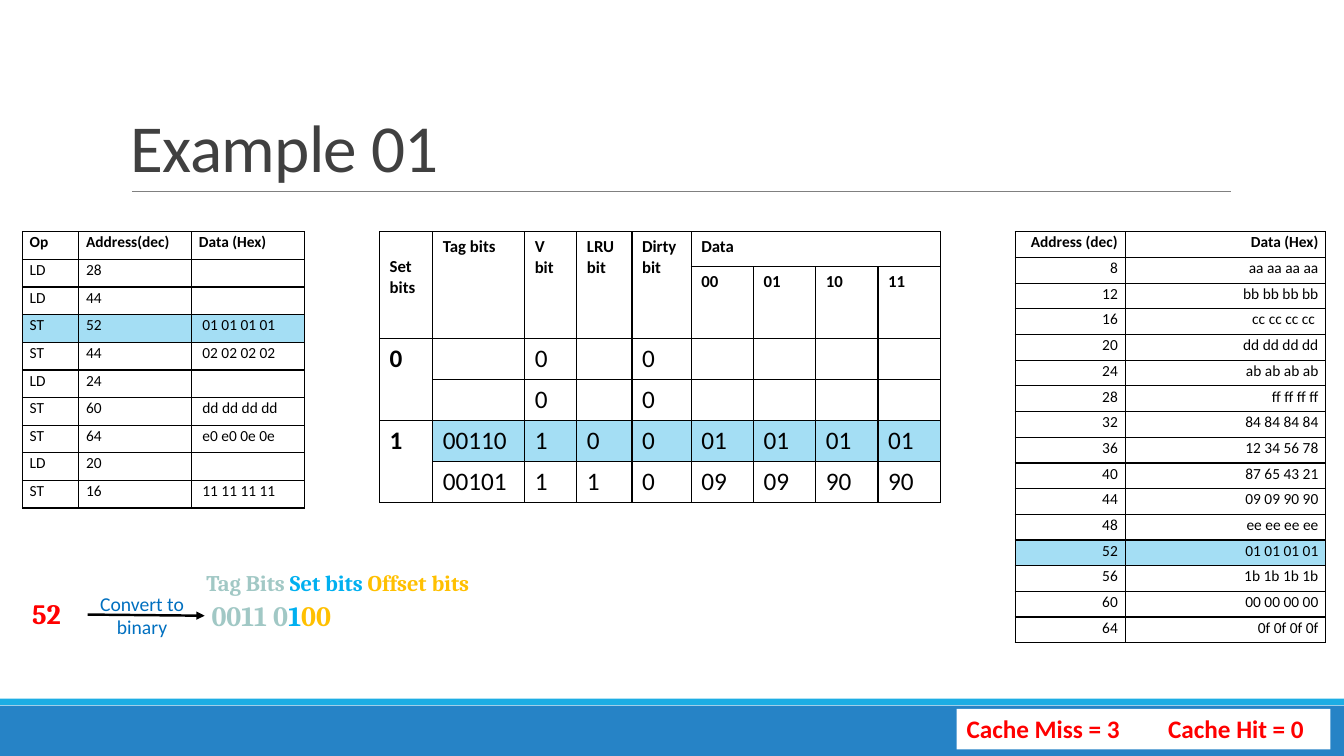
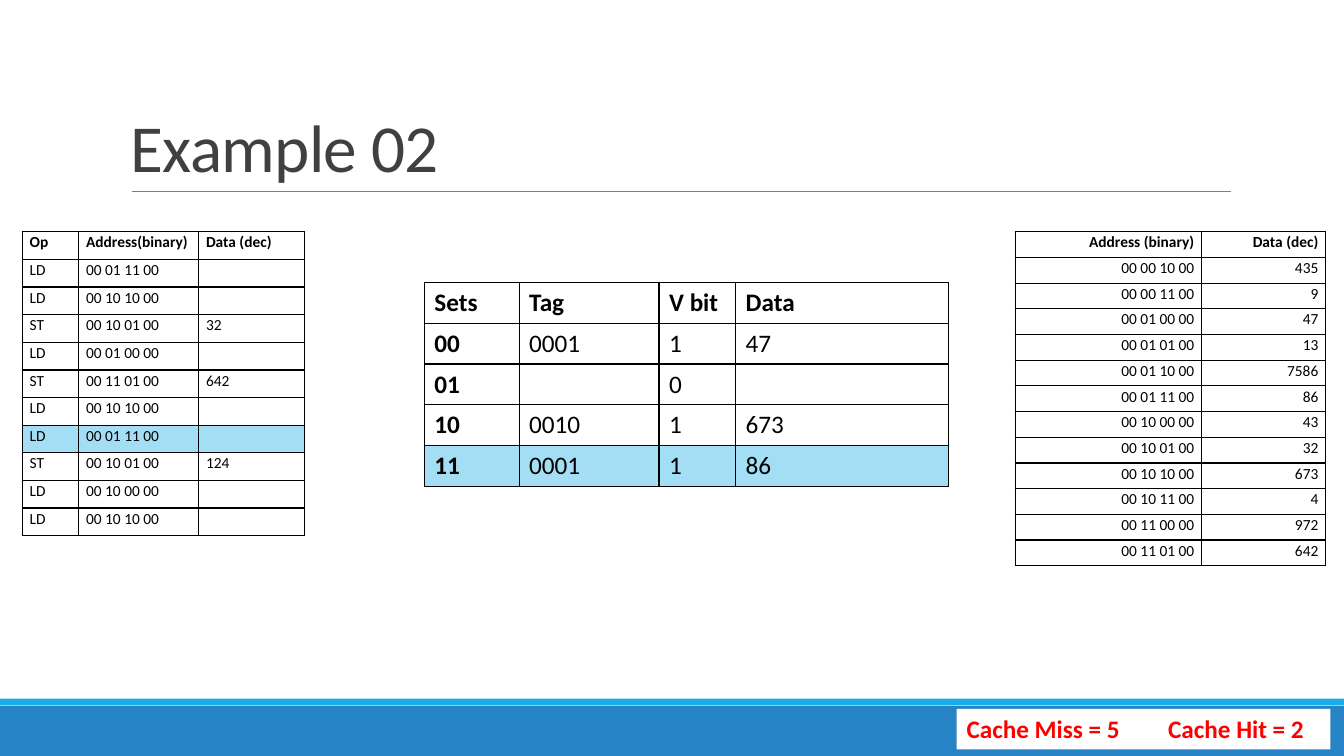
from pptx import Presentation
from pptx.dml.color import RGBColor as Rgb
from pptx.enum.shapes import MSO_CONNECTOR as Link, MSO_SHAPE as Shape
from pptx.enum.text import MSO_ANCHOR as Anchor, PP_ALIGN as Align
from pptx.oxml import parse_xml
from pptx.oxml.ns import nsdecls
from pptx.util import Pt

INK = {
    "band": "2683C6", "strip": "1CADE4", "rule": "808080", "title": "404040",
    "black": "000000", "white": "FFFFFF", "red": "FF0000", "blue": "0070C0",
    "tag": "A1C8C5", "set": "00B0F0", "offset": "FFC000", "lit": "A4DEF4",
}
BODY, SERIF = "Calibri", "Cambria"
TOP = 165.6

OPS_DEC = [
    ["Op", "Address(dec)", "Data (Hex)"],
    ["LD", "28", ""], ["LD", "44", ""], ["ST", "52", "01 01 01 01"],
    ["ST", "44", "02 02 02 02"], ["LD", "24", ""], ["ST", "60", "dd dd dd dd"],
    ["ST", "64", "e0 e0 0e 0e"], ["LD", "20", ""], ["ST", "16", "11 11 11 11"],
]
WORDS = [
    "aa aa aa aa", "bb bb bb bb", "cc cc cc cc ", "dd dd dd dd", "ab ab ab ab",
    "ff ff ff ff", "84 84 84 84", "12 34 56 78", "87 65 43 21", "09 09 90 90",
    "ee ee ee ee", "01 01 01 01", "1b 1b 1b 1b", "00 00 00 00", "0f 0f 0f 0f",
]
RAM_DEC = [["Address (dec)", "Data (Hex)"]] + [
    [str(8 + 4 * i), word] for i, word in enumerate(WORDS)]
WAYS = [
    ["Set bits", "Tag bits", "V bit", "LRU bit", "Dirty bit", "Data", "", "", ""],
    ["", "", "", "", "", "00", "01", "10", "11"],
    ["0", "", "0", "", "0", "", "", "", ""],
    ["", "", "0", "", "0", "", "", "", ""],
    ["1", "00110", "1", "0", "0", "01", "01", "01", "01"],
    ["", "00101", "1", "1", "0", "09", "09", "90", "90"],
]
OPS_BIN = [
    ["Op", "Address(binary)", "Data (dec)"],
    ["LD", "00 01 11 00", ""], ["LD", "00 10 10 00", ""],
    ["ST", "00 10 01 00", "32"], ["LD", "00 01 00 00", ""],
    ["ST", "00 11 01 00", "642"], ["LD", "00 10 10 00", ""],
    ["LD", "00 01 11 00", ""], ["ST", "00 10 01 00", "124"],
    ["LD", "00 10 00 00", ""], ["LD", "00 10 10 00", ""],
]
RAM_BIN = [
    ["Address (binary)", "Data (dec)"],
    ["00 00 10 00", "435"], ["00 00 11 00", "9"], ["00 01 00 00", "47"],
    ["00 01 01 00", "13"], ["00 01 10 00", "7586"], ["00 01 11 00", "86"],
    ["00 10 00 00", "43"], ["00 10 01 00", "32"], ["00 10 10 00", "673"],
    ["00 10 11 00", "4"], ["00 11 00 00", "972"], ["00 11 01 00", "642"],
]
SETS = [
    ["Sets", "Tag", "V bit", "Data"],
    ["00", "0001", "1", "47"], ["01", "", "0", ""],
    ["10", "0010", "1", "673"], ["11", "0001", "1", "86"],
]


def ink(name):
    return Rgb.from_string(INK[name])


def style(run, size, tone, face=BODY, bold=False):
    font = run.font
    font.name, font.size, font.bold = face, Pt(size), bold
    font.color.rgb = ink(tone)


def block(slide, x, y, w, h, tone):
    box = slide.shapes.add_shape(Shape.RECTANGLE, Pt(x), Pt(y), Pt(w), Pt(h))
    box.shadow.inherit = False
    box.fill.solid()
    box.fill.fore_color.rgb = ink(tone)
    box.line.fill.background()


def line(slide, x1, y1, x2, y2, tone, width, arrow=False):
    link = slide.shapes.add_connector(
        Link.STRAIGHT, Pt(x1), Pt(y1), Pt(x2), Pt(y2))
    link.line.color.rgb = ink(tone)
    link.line.width = Pt(width)
    if arrow:
        link.line._get_or_add_ln().append(
            parse_xml(f'<a:tailEnd {nsdecls("a")} type="triangle"/>'))
    link._element.spPr.append(parse_xml(f'<a:effectLst {nsdecls("a")}/>'))


def label(slide, x, y, w, h, lines, size, face=BODY, bold=True,
          align=Align.LEFT, fill=None):
    """Add a text box; each line is a list of (text, colour name) runs."""
    box = slide.shapes.add_textbox(Pt(x), Pt(y), Pt(w), Pt(h))
    if fill:
        box.fill.solid()
        box.fill.fore_color.rgb = ink(fill)
    frame = box.text_frame
    frame.word_wrap = True
    for i, parts in enumerate(lines):
        para = frame.add_paragraph() if i else frame.paragraphs[0]
        para.alignment = align
        for text, tone in parts:
            run = para.add_run()
            run.text = text
            style(run, size, tone, face, bold)
    return frame


def border(cell):
    props = cell._tc.get_or_add_tcPr()
    for side in "LRTB":
        props.append(parse_xml(
            f'<a:ln{side} {nsdecls("a")} w="{Pt(1)}"><a:solidFill>'
            f'<a:srgbClr val="{INK["black"]}"/></a:solidFill></a:ln{side}>'))


def write(cell, text, size, bold, align):
    para = cell.text_frame.paragraphs[0]
    para.text = text
    para.alignment = align
    for run in para.runs:
        style(run, size, "black", bold=bold)
    if not text:
        para._p.get_or_add_endParaRPr().set("sz", str(size * 100))
    return para


def grid(slide, x, y, widths, heights, rows, sizes, lit=None, heads=1,
         side=False, slim=False, align=Align.LEFT, spans=()):
    """Add a table; lit is the (row, first column) of the marked row."""
    table = slide.shapes.add_table(
        len(rows), len(widths), Pt(x), Pt(y),
        Pt(sum(widths)), Pt(sum(heights))).table
    table.first_row = table.horz_banding = False
    for col, width in zip(table.columns, widths):
        col.width = Pt(width)
    for r, row in enumerate(rows):
        table.rows[r].height = Pt(heights[r])
        for c, text in enumerate(row):
            cell = table.cell(r, c)
            border(cell)
            if lit and r == lit[0] and c >= lit[1]:
                cell.fill.solid()
                cell.fill.fore_color.rgb = ink("lit")
            else:
                cell.fill.background()
            bold = r < heads or (side and c == 0)
            para = write(cell, text, sizes[r >= heads], bold, align)
            if slim:
                cell.margin_left = cell.margin_right = Pt(5.2)
                cell.margin_top = cell.margin_bottom = 0
                para.line_spacing = 1.07
    for r1, c1, r2, c2 in spans:
        table.cell(r1, c1).merge(table.cell(r2, c2))
    return table


def ops(slide, widths, rows, lit):
    return grid(slide, 16, TOP, widths, [19.75] * len(rows), rows, (11, 11),
                lit=(lit, 0), slim=True)


def ram(slide, widths, rows, lit=None):
    grid(slide, 725.2, TOP, widths, [18.35] * len(rows), rows, (11, 11),
         lit=lit, slim=True, align=Align.RIGHT)


def frame(deck, title, miss, hit):
    """Add a slide with its bands, title, rule and score box."""
    slide = deck.slides.add_slide(deck.slide_layouts[6])
    block(slide, 0, 504, 960, 36, "band")
    block(slide, 0, 499, 960, 4.7, "strip")
    line(slide, 94.3, 136.8, 879, 136.8, "rule", 0.5)
    head = label(slide, 86.4, 22.3, 792, 114.5, [[(title, "title")]], 48,
                 bold=False)
    head.vertical_anchor = Anchor.BOTTOM
    para = head.paragraphs[0]
    para.line_spacing = 0.85
    para.runs[0].font._element.set("spc", "-50")
    score = f"Cache Miss = {miss}\tCache Hit = {hit}"
    label(slide, 683.3, 506.3, 267, 29, [[(score, "red")]], 18, fill="white")
    return slide


def split(slide):
    """Show how address 52 falls into tag, set and offset bits."""
    label(slide, 62.6, 419, 77.8, 41, [[("Convert to", "blue")],
          [("binary", "blue")]], 14, bold=False, align=Align.CENTER,
          fill="white")
    label(slide, 15.8, 422.6, 70.6, 31.5, [[("52", "red")]], 20, SERIF)
    line(slide, 62.6, 439, 146.2, 439.8, "black", 1.75, arrow=True)
    label(slide, 144, 424, 154.8, 31.5, [[
        ("0011 0", "tag"), ("1", "set"), ("00", "offset")]], 20, SERIF)
    label(slide, 140.4, 403.2, 203, 26.6, [[
        ("Tag Bits ", "tag"), ("Set bits ", "set"),
        ("Offset bits", "offset")]], 16, SERIF, fill="white")


def first(deck):
    slide = frame(deck, "Example 01", 3, 0)
    ram(slide, [78.5, 143.3], RAM_DEC, lit=(12, 0))
    spans = [(0, c, 1, c) for c in range(5)]
    spans += [(0, 5, 0, 8), (2, 0, 3, 0), (4, 0, 5, 0)]
    ways = grid(slide, 271.2, TOP, [38, 65.6, 37.3, 39.4, 42.3] + [44.5] * 4,
                [25, 51.4] + [29.2] * 4, WAYS, (12, 18), lit=(4, 1), heads=2,
                side=True, spans=spans)
    ways.cell(0, 0).margin_top = Pt(18)
    split(slide)
    table = ops(slide, [40.3, 80.6, 80.6], OPS_DEC, 3)
    for r in range(1, len(OPS_DEC)):
        table.cell(r, 2).margin_left = Pt(7.7)


def second(deck):
    slide = frame(deck, "Example 02", 5, 2)
    ops(slide, [40.3, 85.7, 75.6], OPS_BIN, 7)
    ram(slide, [133.2, 88.6], RAM_BIN)
    grid(slide, 303.1, 201.6, [67.7, 100, 54.7, 152], [29.2] * 5, SETS,
         (18, 18), lit=(4, 0), side=True)


def main():
    deck = Presentation()
    deck.slide_width, deck.slide_height = Pt(960), Pt(540)
    first(deck)
    second(deck)
    deck.save("out.pptx")


if __name__ == "__main__":
    main()
